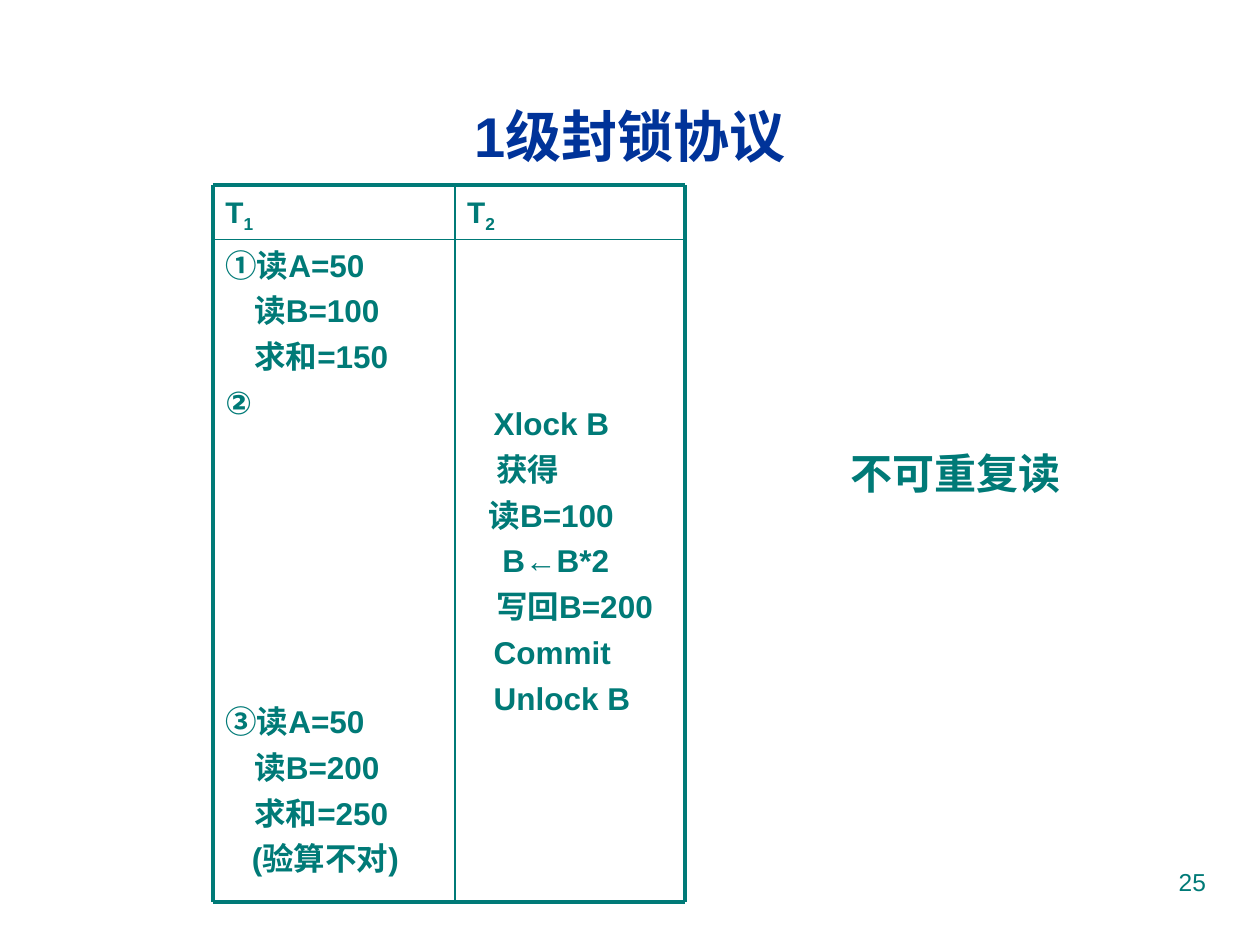
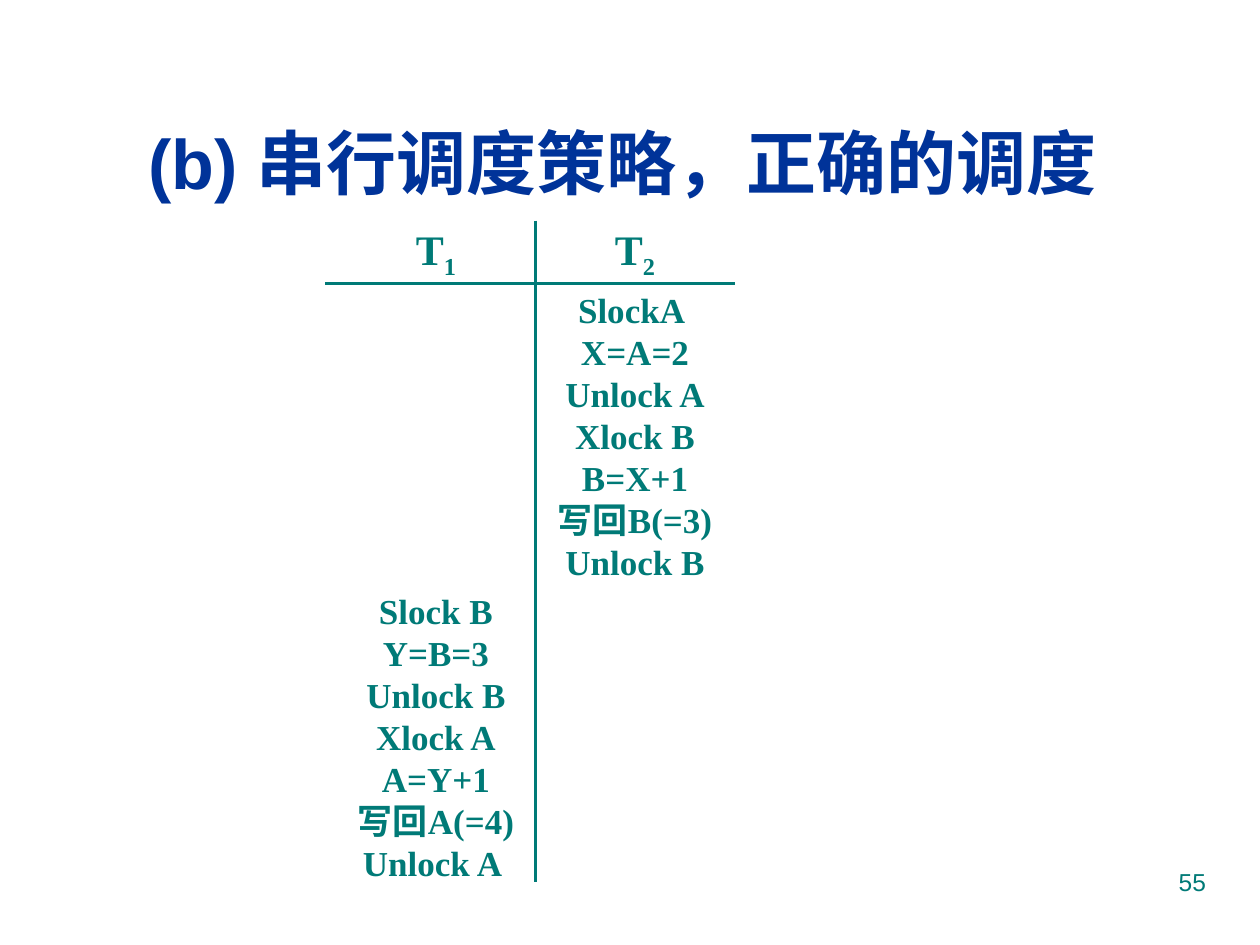
import lxml.etree
import pptx
import pptx.dml.color
import pptx.enum.shapes
import pptx.enum.text
import pptx.oxml.ns
import pptx.util

PX = 9144  # EMU; 100 px to the inch
BLUE = pptx.dml.color.RGBColor(0x00, 0x33, 0x99)
TEAL = pptx.dml.color.RGBColor(0x00, 0x7A, 0x77)
SANS, SERIF = "Arial", "Times New Roman"
TITLE_ONLY = 5
THICK, THIN = 2.25, 1

Pt = pptx.util.Pt
ALIGN = pptx.enum.text.PP_ALIGN
ANCHOR = pptx.enum.text.MSO_ANCHOR


def write(tf, lines, size, font=SANS, color=TEAL, bold=True, align=ALIGN.LEFT,
          spacing=None, gap=0):
    """Write (text, indent in px, extra space before in pt) lines; "T_1" sets 1 as subscript."""
    for i, (text, indent, extra) in enumerate(lines):
        p = tf.paragraphs[0] if i == 0 else tf.add_paragraph()
        p.alignment = align
        p.space_before = Pt(gap + extra if i else 0)
        if spacing:
            p.line_spacing = spacing
        if indent:
            p._p.get_or_add_pPr().set("marL", str(indent * PX))
        p.font.size, p.font.name, p.font.bold = Pt(size), font, bold
        p.font.color.rgb = color
        base, _, sub = text.partition("_")
        p.add_run().text = base
        if sub:
            r = p.add_run()
            r.text = sub
            r.font._element.set("baseline", "-25000")


def add_text(s, box, lines, size, anchor=ANCHOR.MIDDLE, wrap=False, **style):
    tf = s.shapes.add_textbox(*(v * PX for v in box)).text_frame
    tf.word_wrap = wrap
    tf.vertical_anchor = anchor
    write(tf, lines, size, **style)
    return tf


prs = pptx.Presentation()
prs.slide_width, prs.slide_height = 1000 * PX, 750 * PX

# Titles, rules and page numbers
protocol_rules = [
    (169, 147, 544, 147, THICK), (169, 190, 544, 190, THIN), (169, 716, 544, 716, THICK),
    (169, 147, 169, 716, THICK), (361, 147, 361, 716, THIN), (544, 147, 544, 716, THICK),
]
schedule_rules = [(258, 225, 583, 225, THICK), (425, 175, 425, 700, THICK)]
slides = []
for title, height, size, number, rules in [
    ("1级封锁协议", 83, 32, "25", protocol_rules),
    ("(b) 串行调度策略，正确的调度 ", 125, 40, "55", schedule_rules),
]:
    s = prs.slides.add_slide(prs.slide_layouts[TITLE_ONLY])
    sp = s.shapes.title
    sp.left, sp.top, sp.width, sp.height = 33 * PX, 66 * PX, 934 * PX, height * PX
    tf = sp.text_frame
    tf.auto_size = pptx.enum.text.MSO_AUTO_SIZE.NONE
    tf.vertical_anchor = ANCHOR.MIDDLE
    write(tf, [(title, 0, 0)], size, color=BLUE, align=ALIGN.CENTER)
    for x1, y1, x2, y2, weight in rules:
        line = s.shapes.add_connector(pptx.enum.shapes.MSO_CONNECTOR.STRAIGHT,
                                      x1 * PX, y1 * PX, x2 * PX, y2 * PX)
        line.line.color.rgb = TEAL
        line.line.width = Pt(weight)
        lxml.etree.SubElement(line._element.spPr, pptx.oxml.ns.qn("a:effectLst"))
    add_text(s, (717, 683, 250, 52), [(number, 0, 0)], 14, anchor=ANCHOR.TOP,
             wrap=True, bold=False, align=ALIGN.RIGHT)
    slides.append(s)

# Slide 1: non-repeatable read
s = slides[0]
t1_steps = [
    ("①读A=50", 0, 0), ("读B=100", 23, 0), ("求和=150", 23, 0),
    ("②", 0, 0),
    ("③读A=50", 0, 156.5), ("读B=200", 23, 0), ("求和=250", 23, 0),
    ("(验算不对)", 21, 0),
]
t2_steps = [
    ("Xlock B", 21, 0), ("获得", 23, 0), ("读B=100", 17, 0), ("B←B*2", 28, 0),
    ("写回B=200", 23, 0), ("Commit", 21, 0), ("Unlock B", 21, 0),
]
for name, left, width, first_step, steps in [
    ("T_1", 169, 192, 5, t1_steps),
    ("T_2", 361, 183, 131, t2_steps),
]:
    tf = add_text(s, (left, 147, width, 43), [(name, 0, 0)], 17, anchor=ANCHOR.TOP,
                  wrap=True, spacing=0.9)
    tf.margin_top = 7 * PX
    tf = add_text(s, (left, 190, width, 526), steps, 18, anchor=ANCHOR.TOP,
                  wrap=True, spacing=Pt(21.6), gap=4.5)
    tf.margin_top = first_step * PX

add_text(s, (617, 342, 283, 67), [("不可重复读", 0, 0)], 24, font=SERIF,
         align=ALIGN.CENTER)

# Slide 2: serial schedule, T2 before T1
s = slides[1]
t1_steps = ["Slock B", "Y=B=3", "Unlock B", "Xlock A", "A=Y+1", "写回A(=4)", "Unlock A "]
t2_steps = ["SlockA ", "X=A=2", "Unlock A", "Xlock B", "B=X+1", "写回B(=3)", "Unlock B"]
for name, left, top, height, anchor, steps in [
    ("T_1", 267, 234, 467, ANCHOR.BOTTOM, t1_steps),
    ("T_2", 425, 225, 475, ANCHOR.TOP, t2_steps),
]:
    add_text(s, (left, 175, 158, 50), [(name, 0, 0)], 24, font=SERIF,
             align=ALIGN.CENTER)
    tf = add_text(s, (left, top, 158, height), [(step, 0, 0) for step in steps], 20,
                  anchor=anchor, font=SERIF, align=ALIGN.CENTER, spacing=Pt(24))
    tf.margin_top, tf.margin_bottom = 4 * PX, 0

prs.save("out.pptx")
